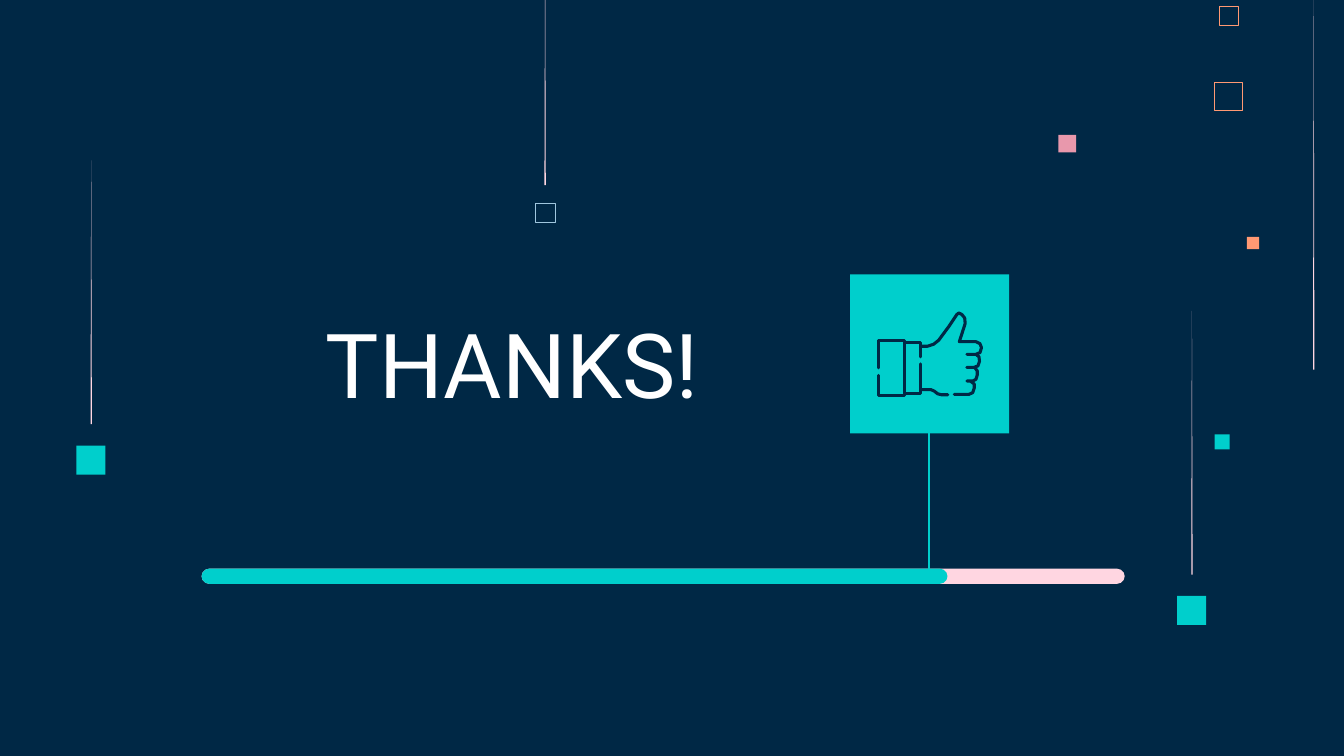
from pptx import Presentation
from pptx.dml.color import RGBColor
from pptx.enum.shapes import MSO_CONNECTOR as Connector, MSO_SHAPE as Shape
from pptx.enum.text import MSO_ANCHOR as Anchor, MSO_AUTO_SIZE as AutoSize, PP_ALIGN as Align
from pptx.oxml.ns import qn
from pptx.util import Inches, Pt
from lxml.etree import SubElement

NAVY = RGBColor(0x00, 0x28, 0x45)
TEAL = RGBColor(0x00, 0xCF, 0xCC)
BLUSH = RGBColor(0xFF, 0xD6, 0xE1)
ROSE = RGBColor(0xE8, 0x98, 0xAC)
ORANGE = RGBColor(0xFF, 0x99, 0x73)
SKY = RGBColor(0x9F, 0xC6, 0xDE)
WHITE = RGBColor(0xFF, 0xFF, 0xFF)

FONT = "Roboto"
COLUMNS, ROWS = 160, 90
CELL = Inches(7.5) / ROWS

FILLED_SQUARES = [
    (126, 16.05, 2.1, ROSE),
    (144.6, 51.7, 1.8, TEAL),
    (148.45, 28.2, 1.45, ORANGE),
    (140.15, 70.95, 3.45, TEAL),
    (9.1, 53.05, 3.45, TEAL),
]
OUTLINED_SQUARES = [
    (144.55, 9.75, 3.4, ORANGE, 0.45),
    (145.1, 0.75, 2.3, ORANGE, 0.32),
    (63.75, 24.2, 2.3, SKY, 0.32),
]
NEEDLES = [(64.9, -7.65, 29.7), (156.4, 0, 44), (141.9, 37, 31.4), (10.86, 19.1, 31.4)]

BADGE_LEFT, BADGE_TOP, BADGE_SIZE = 101.2, 32.65, 18.95
BAR_LEFT, BAR_TOP, BAR_HEIGHT = 24, 67.7, 1.8

THUMB_STROKES = [
    [(285, 930), (285, 655), (545, 655), (545, 1205), (285, 1205), (285, 1005)],
    [(550, 680), (700, 680), (700, 820)],
    [(700, 890), (700, 1180), (550, 1180)],
    [(700, 715), (770, 715), (830, 695), (880, 655), (980, 520), (1060, 400),
     (1080, 385), (1110, 400), (1138, 435), (1143, 490), (1085, 670), (1250, 670),
     (1290, 690), (1305, 730), (1290, 778), (1250, 795), (1160, 795)],
    [(1250, 795), (1280, 820), (1285, 865), (1270, 910), (1230, 925), (1160, 925)],
    [(1240, 930), (1263, 960), (1263, 1000), (1250, 1043), (1220, 1060), (1160, 1060)],
    [(1200, 1065), (1233, 1090), (1233, 1130), (1218, 1175), (1180, 1193), (1035, 1193)],
    [(700, 1145), (800, 1145), (835, 1160), (870, 1187), (910, 1197), (970, 1197)],
]
STROKE_SPAN = 1580


class Canvas:
    """Draws styled elements on the current page in grid cells."""

    def __init__(self, deck):
        self.page = deck.slides.add_slide(deck.slide_layouts[5])
        self.shapes = self.page.shapes
        fill = self.page.background.fill
        fill.solid()
        fill.fore_color.rgb = NAVY

    def cells(self, *lengths):
        return [round(length * CELL) for length in lengths]

    def paint(self, shape, fill=None, line=None, width=0):
        shape.shadow.inherit = False
        if fill is None:
            shape.fill.background()
        else:
            shape.fill.solid()
            shape.fill.fore_color.rgb = fill
        if line is None:
            shape.line.fill.background()
        else:
            shape.line.color.rgb = line
            shape.line.width = Pt(width)

    def square(self, left, top, size, **style):
        shape = self.shapes.add_shape(Shape.RECTANGLE, *self.cells(left, top, size, size))
        self.paint(shape, **style)

    def bar(self, length, color):
        shape = self.shapes.add_shape(
            Shape.ROUNDED_RECTANGLE, *self.cells(BAR_LEFT, BAR_TOP, length, BAR_HEIGHT))
        shape.adjustments[0] = 0.5
        self.paint(shape, fill=color)

    def outline(self, strokes, close, **style):
        builder = None
        for stroke in strokes:
            start, *rest = [self.cells(*point) for point in stroke]
            if builder is None:
                builder = self.shapes.build_freeform(*start)
            else:
                builder.move_to(*start)
            builder.add_line_segments(rest, close=close)
        shape = builder.convert_to_shape()
        self.paint(shape, **style)
        return shape

    def needle(self, center, top, height, width=0.16):
        bottom = top + height
        points = [(center, top), (center - width / 2, bottom), (center + width / 2, bottom)]
        self.outline([points], True, fill=BLUSH)

    def thumb(self):
        unit = BADGE_SIZE / STROKE_SPAN
        strokes = [[(BADGE_LEFT + x * unit, BADGE_TOP + y * unit) for x, y in stroke]
                   for stroke in THUMB_STROKES]
        shape = self.outline(strokes, False, line=NAVY, width=2.2)
        line = shape.line._get_or_add_ln()
        line.set("cap", "rnd")
        SubElement(line, qn("a:round"))

    def stem(self, column, top, bottom):
        stem = self.shapes.add_connector(
            Connector.STRAIGHT, *self.cells(column, top, column, bottom))
        stem.line.color.rgb = TEAL
        stem.line.width = Pt(1.5)
        SubElement(stem._element.spPr, qn("a:effectLst"))

    def title(self, text, left, top, width, height):
        box = self.shapes.title
        box.left, box.top, box.width, box.height = self.cells(left, top, width, height)
        frame = box.text_frame
        frame.auto_size = AutoSize.NONE
        frame.word_wrap = True
        frame.vertical_anchor = Anchor.BOTTOM
        frame.margin_left = frame.margin_right = Inches(0.13)
        frame.margin_top = frame.margin_bottom = Inches(0.13)
        para = frame.paragraphs[0]
        para.alignment = Align.CENTER
        span = para.add_run()
        span.text = text
        span.font.name = FONT
        span.font.size = Pt(64)
        span.font.color.rgb = WHITE


def main():
    deck = Presentation()
    deck.slide_width = round(COLUMNS * CELL)
    deck.slide_height = round(ROWS * CELL)
    canvas = Canvas(deck)
    for left, top, size, color in FILLED_SQUARES:
        canvas.square(left, top, size, fill=color)
    for left, top, size, color, width in OUTLINED_SQUARES:
        canvas.square(left, top, size, line=color, width=width)
    for needle in NEEDLES:
        canvas.needle(*needle)
    canvas.title("THANKS!", 35.5, 36.5, 51, 14.6)
    canvas.square(BADGE_LEFT, BADGE_TOP, BADGE_SIZE, fill=TEAL)
    canvas.bar(109.9, BLUSH)
    canvas.bar(88.8, TEAL)
    canvas.stem(110.65, BADGE_TOP + BADGE_SIZE, 68.75)
    canvas.thumb()
    deck.save("out.pptx")


if __name__ == "__main__":
    main()
